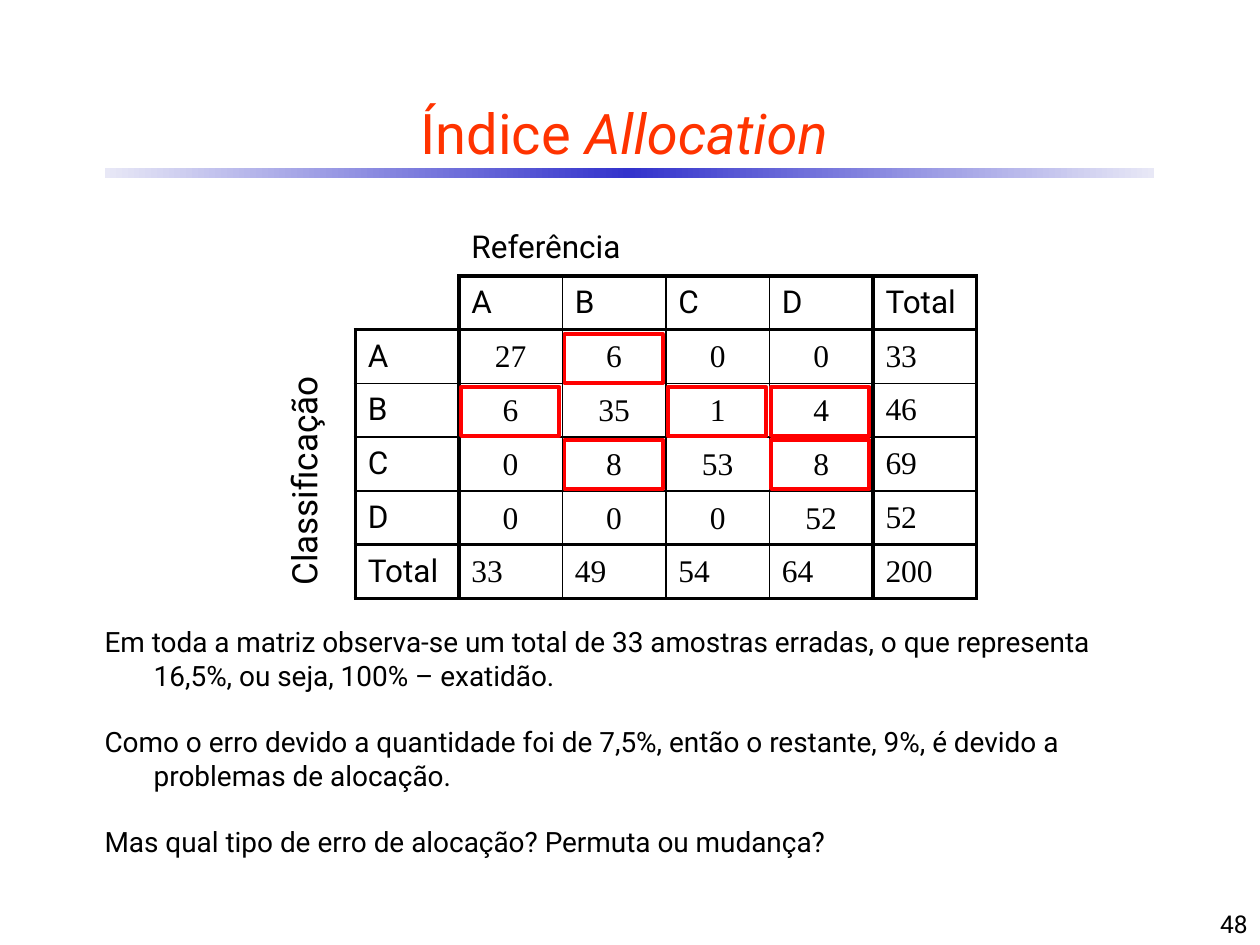
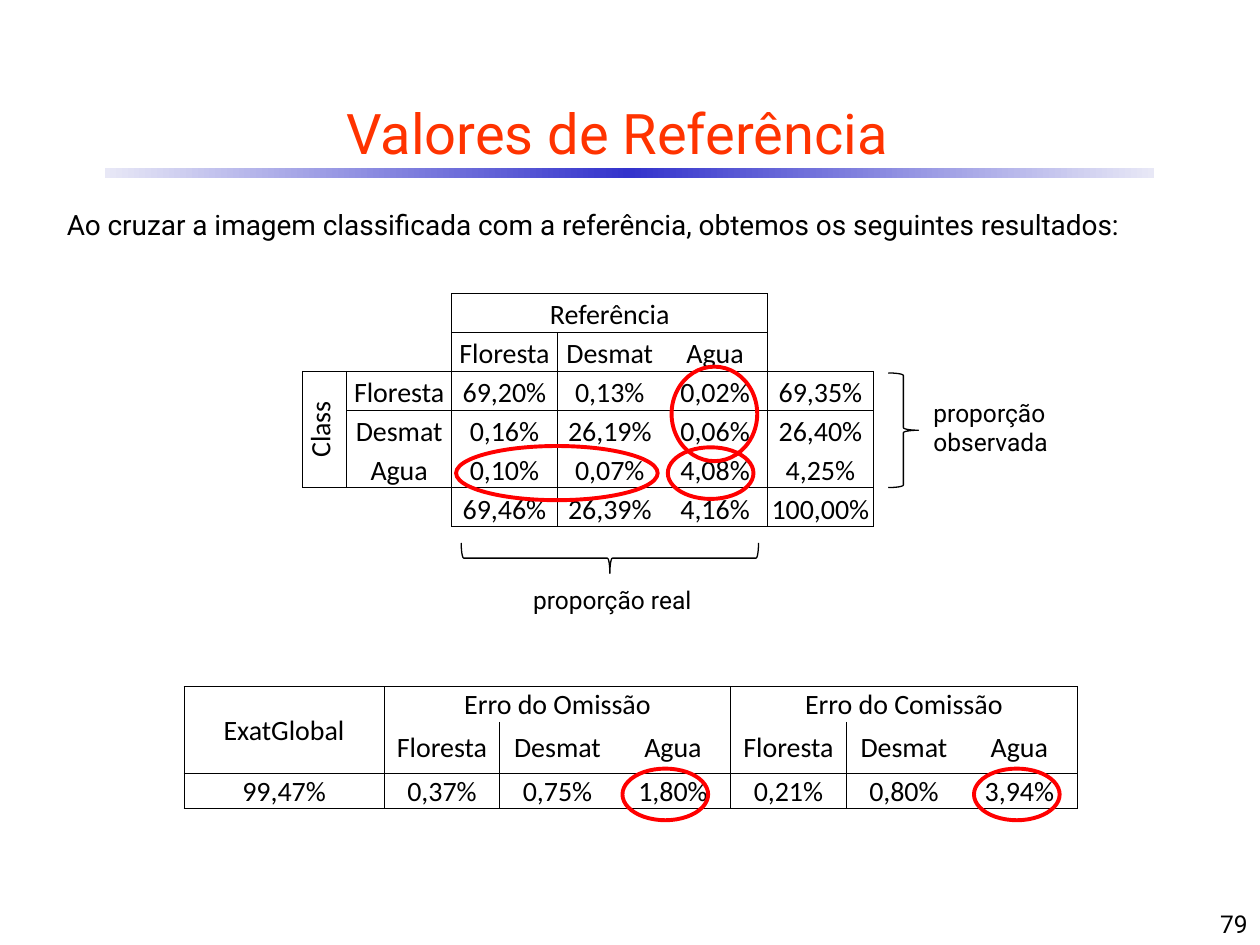
from copy import deepcopy
from dataclasses import dataclass
from itertools import product

from lxml import etree
from pptx import Presentation
from pptx.dml.color import RGBColor
from pptx.enum.shapes import MSO_SHAPE
from pptx.enum.text import MSO_ANCHOR, MSO_AUTO_SIZE, PP_ALIGN
from pptx.oxml.ns import qn
from pptx.util import Inches, Pt

LEFT, CENTER, RIGHT = PP_ALIGN.LEFT, PP_ALIGN.CENTER, PP_ALIGN.RIGHT
TOP, MIDDLE, BOTTOM = MSO_ANCHOR.TOP, MSO_ANCHOR.MIDDLE, MSO_ANCHOR.BOTTOM
RECT, OVAL, BRACE = MSO_SHAPE.RECTANGLE, MSO_SHAPE.OVAL, MSO_SHAPE.RIGHT_BRACE
PLAIN_STYLE = "{2D5ABB26-0587-4C30-8999-92F81FD0307C}"


@dataclass(frozen=True)
class Theme:
    ink: str = "000000"
    title: str = "FF3300"
    mark: str = "FF0000"
    band: str = "3333CC"
    fade: str = "E8E8F6"
    sans: str = "Roboto"
    serif: str = "Times New Roman"
    cell: str = "Calibri"
    head: int = 32
    side: int = 20
    grid: int = 18
    body: int = 16
    note: int = 14
    thick: float = 2.25
    thin: float = 1
    hair: float = 0.5
    brace: float = 0.75


T = Theme()


def rgb(code):
    return RGBColor.from_string(code)


def place(shape, box):
    shape.left, shape.top, shape.width, shape.height = map(Inches, box)


def style(para, size, face=T.sans, color=T.ink, align=LEFT):
    para.alignment = align
    font = para.font
    font.size, font.name, font.bold = Pt(size), face, False
    font.color.rgb = rgb(color)


def add_band(layout, slide):
    """Draw the gradient rule, then move it to the layout that slides share."""
    band = slide.shapes.add_shape(RECT, *map(Inches, (0.83, 1.33, 8.33, 0.08)))
    band.shadow.inherit = False
    band.line.fill.background()
    band.fill.gradient()
    band.fill.gradient_angle = 0
    edge, mid = band.fill.gradient_stops
    edge.color.rgb, edge.position = rgb(T.fade), 0
    mid.color.rgb, mid.position = rgb(T.band), 0.5
    stops = band.element.find(".//" + qn("a:gsLst"))
    last = deepcopy(stops[0])
    last.set("pos", "100000")
    stops.append(last)
    layout.shapes.element.append(band.element)


def add_title(slide, text, slant=""):
    title = slide.shapes.title
    place(title, (0.33, 0.67, 9.25, 0.75))
    frame = title.text_frame
    frame.vertical_anchor = MIDDLE
    frame.auto_size = MSO_AUTO_SIZE.NONE
    para = frame.paragraphs[0]
    para.add_run().text = text
    if slant:
        run = para.add_run()
        run.text = slant
        run.font.italic = True
    style(para, T.head, color=T.title, align=CENTER)


def add_body(slide, box, lines, hang=0.0):
    """Fill the body placeholder with unbulleted, hanging paragraphs."""
    body = slide.placeholders[1]
    place(body, box)
    frame = body.text_frame
    frame.auto_size = MSO_AUTO_SIZE.NONE
    frame.text = "\n".join(lines)
    for i, para in enumerate(frame.paragraphs):
        props = para._p.get_or_add_pPr()
        props.set("marL", str(Inches(hang)))
        props.set("indent", str(-Inches(hang)))
        etree.SubElement(props, qn("a:buNone"))
        para.space_before = Pt(18.75 if i else 0)
        style(para, T.body)


def add_note(slide, box, text, align=LEFT, anchor=TOP, wrap=False):
    frame = slide.shapes.add_textbox(*map(Inches, box)).text_frame
    frame.word_wrap = wrap
    frame.vertical_anchor = anchor
    frame.text = text
    for para in frame.paragraphs:
        style(para, T.note, align=align)


def add_page(slide, number):
    add_note(slide, (7.92, 7, 2.08, 0.5), number, RIGHT, BOTTOM, True)


def outline(slide, kind, box, color=T.mark, weight=T.thick, turn=0):
    shape = slide.shapes.add_shape(kind, *map(Inches, box))
    shape.shadow.inherit = False
    shape.fill.background()
    shape.line.color.rgb = rgb(color)
    shape.line.width = Pt(weight)
    shape.rotation = turn


def add_grid(slide, spot, cols, rows, spans):
    """Add an unstyled table; spans hold first row, first column, last row, last column."""
    box = (*spot, sum(cols), sum(rows))
    table = slide.shapes.add_table(len(rows), len(cols), *map(Inches, box)).table
    table.first_row = table.horz_banding = False
    table._tbl.find(".//" + qn("a:tableStyleId")).text = PLAIN_STYLE
    for col, width in zip(table.columns, cols):
        col.width = Inches(width)
    for row, height in zip(table.rows, rows):
        row.height = Inches(height)
    for cell in table.iter_cells():
        cell.fill.background()
    for top, left, bottom, right in spans:
        table.cell(top, left).merge(table.cell(bottom, right))
    return table


def fill_cell(cell, text, size, face, align=CENTER, anchor=MIDDLE, tight=True):
    cell.vertical_anchor = anchor
    if tight:
        cell.margin_left = cell.margin_right = cell.margin_top = Inches(0.01)
        cell.margin_bottom = 0
    cell.text = text
    style(cell.text_frame.paragraphs[0], size, face, align=align)


def turn_cell(cell):
    cell._tc.get_or_add_tcPr().set("vert", "vert270")


def frame_block(table, block, outer, inner=None):
    """Rule the edge of a block of cells, and the lines inside it if inner is set."""
    top, left, bottom, right = block
    for r, c in product(range(top, bottom + 1), range(left, right + 1)):
        cell = table.cell(r, c)
        edges = {
            "a:lnB": r + cell.span_height - 1 == bottom,
            "a:lnT": r == top,
            "a:lnR": c + cell.span_width - 1 == right,
            "a:lnL": c == left,
        }
        for tag, rim in edges.items():
            weight = outer if rim else inner
            if weight:
                line = etree.Element(qn(tag), w=str(Pt(weight)))
                fill = etree.SubElement(line, qn("a:solidFill"))
                etree.SubElement(fill, qn("a:srgbClr"), val=T.ink)
                cell._tc.get_or_add_tcPr().insert(0, line)


def add_matrix(slide):
    data = [
        ["", "", "Referência", "", "", "", ""],
        ["", "", "A", "B", "C", "D", "Total"],
        ["Classificação", "A", "27", "6", "0", "0", "33"],
        ["", "B", "6", "35", "1", "4", "46"],
        ["", "C", "0", "8", "53", "8", "69"],
        ["", "D", "0", "0", "0", "52", "52"],
        ["", "Total", "33", "49", "54", "64", "200"],
    ]
    cols = [0.49] + [4.93 / 6] * 6
    rows = [0.44] + [2.56 / 6] * 6
    table = add_grid(slide, (2.33, 1.75), cols, rows, [(0, 2, 0, 6), (2, 0, 6, 0)])
    for r, c in product(range(7), range(7)):
        text = data[r][c]
        if text:
            core = 2 <= r <= 5 and 2 <= c <= 5
            face = T.serif if text.isdigit() else T.sans
            align = CENTER if core else LEFT
            fill_cell(table.cell(r, c), text, T.grid, face, align, tight=core)
    side = table.cell(2, 0)
    turn_cell(side)
    para = side.text_frame.paragraphs[0]
    para.line_spacing = Pt(15)
    para.font.size = Pt(T.side)
    bands = [(1, 1), (2, 5), (6, 6)]
    for (top, bottom), (left, right) in list(product(bands, bands))[1:]:
        frame_block(table, (top, left, bottom, right), T.thick, T.thin)


def add_shares(slide):
    data = [
        ["", "", "Referência", "", "", ""],
        ["", "", "Floresta", "Desmat", "Agua", ""],
        ["Class", "Floresta", "69,20%", "0,13%", "0,02%", "69,35%"],
        ["", "Desmat", "0,16%", "26,19%", "0,06%", "26,40%"],
        ["", "Agua", "0,10%", "0,07%", "4,08%", "4,25%"],
        ["", "", "69,46%", "26,39%", "4,16%", "100,00%"],
    ]
    cols = [0.35] + [4.18 / 5] * 5
    table = add_grid(slide, (2.4, 2.33), cols, [1.85 / 6] * 6,
                     [(0, 2, 0, 4), (2, 0, 4, 0)])
    for r, c in product(range(6), range(6)):
        anchor = MIDDLE if c == 0 else BOTTOM
        fill_cell(table.cell(r, c), data[r][c], T.body, T.cell, anchor=anchor)
    turn_cell(table.cell(2, 0))
    blocks = [(0, 2, 0, 4), (1, 2, 1, 4), (2, 0, 4, 0), (2, 1, 4, 1),
              (2, 2, 4, 4), (2, 5, 4, 5), (5, 2, 5, 4), (5, 5, 5, 5)]
    for block in blocks:
        frame_block(table, block, T.hair)


def add_errors(slide):
    names = ["Floresta", "Desmat", "Agua"]
    data = [
        ["ExatGlobal", "Erro do Omissão", "", "", "Erro do Comissão", "", ""],
        [""] + names * 2,
        ["99,47%", "0,37%", "0,75%", "1,80%", "0,21%", "0,80%", "3,94%"],
    ]
    cols = [1.59] + [5.5 / 6] * 6
    table = add_grid(slide, (1.46, 5.45), cols, [0.28, 0.41, 0.28],
                     [(0, 0, 1, 0), (0, 1, 0, 3), (0, 4, 0, 6)])
    for r, c in product(range(3), range(7)):
        anchor = BOTTOM if r == 2 else MIDDLE
        fill_cell(table.cell(r, c), data[r][c], T.body, T.cell, anchor=anchor)
    for (top, bottom), (left, right) in product([(0, 1), (2, 2)],
                                                [(0, 0), (1, 3), (4, 6)]):
        frame_block(table, (top, left, bottom, right), T.hair)


def build_index(slide):
    add_title(slide, "Índice ", "Allocation")
    add_matrix(slide)
    add_body(slide, (0.73, 4.91, 8.5, 1.99), [
        "Em toda a matriz observa-se um total de 33 amostras erradas, "
        "o que representa 16,5%, ou seja, 100% – exatidão.",
        "Como o erro devido a quantidade foi de 7,5%, então o restante, 9%, "
        "é devido a problemas de alocação.",
        "Mas qual tipo de erro de alocação? Permuta ou mudança?",
    ], hang=0.39)
    add_page(slide, "48")
    for row, col in [(0, 1), (1, 0), (1, 2), (1, 3), (2, 1), (2, 3)]:
        outline(slide, RECT, (3.66 + 0.82 * col, 2.65 + 0.42 * row, 0.78, 0.39))


def build_values(slide):
    add_title(slide, "Valores de Referência ")
    add_body(slide, (0.43, 1.6, 9.57, 0.37), [
        "Ao cruzar a imagem classificada com a referência, "
        "obtemos os seguintes resultados:"])
    add_page(slide, "79")
    add_shares(slide)
    add_errors(slide)
    outline(slide, BRACE, (4.72, 3.25, 0.24, 2.36), T.ink, T.brace, 90)
    add_note(slide, (4.13, 4.59, 1.46, 0.34), "proporção real", CENTER)
    outline(slide, BRACE, (7.05, 2.96, 0.24, 0.91), T.ink, T.brace)
    add_note(slide, (7.31, 3.11, 1.13, 0.57), "proporção\nobservada")
    rings = [(4.94, 6.1, 0.68, 0.41), (7.73, 6.1, 0.68, 0.41),
             (5.3, 3.55, 0.68, 0.41), (5.33, 2.91, 0.68, 0.75),
             (3.62, 3.54, 1.6, 0.43)]
    for ring in rings:
        outline(slide, OVAL, ring)


def main():
    deck = Presentation()
    deck.slide_width, deck.slide_height = Inches(10), Inches(7.5)
    layout = deck.slide_layouts[1]
    first, second = (deck.slides.add_slide(layout) for _ in range(2))
    add_band(layout, first)
    build_index(first)
    build_values(second)
    deck.save("out.pptx")


if __name__ == "__main__":
    main()
